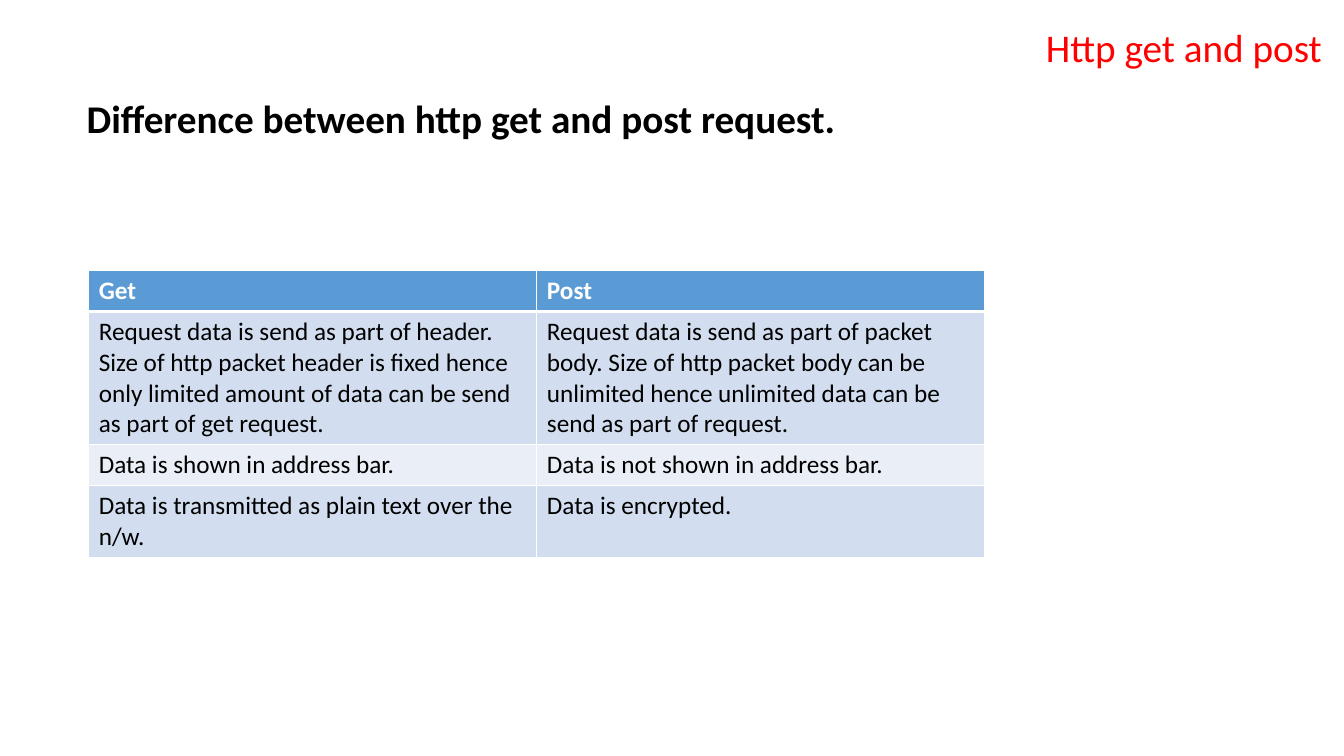
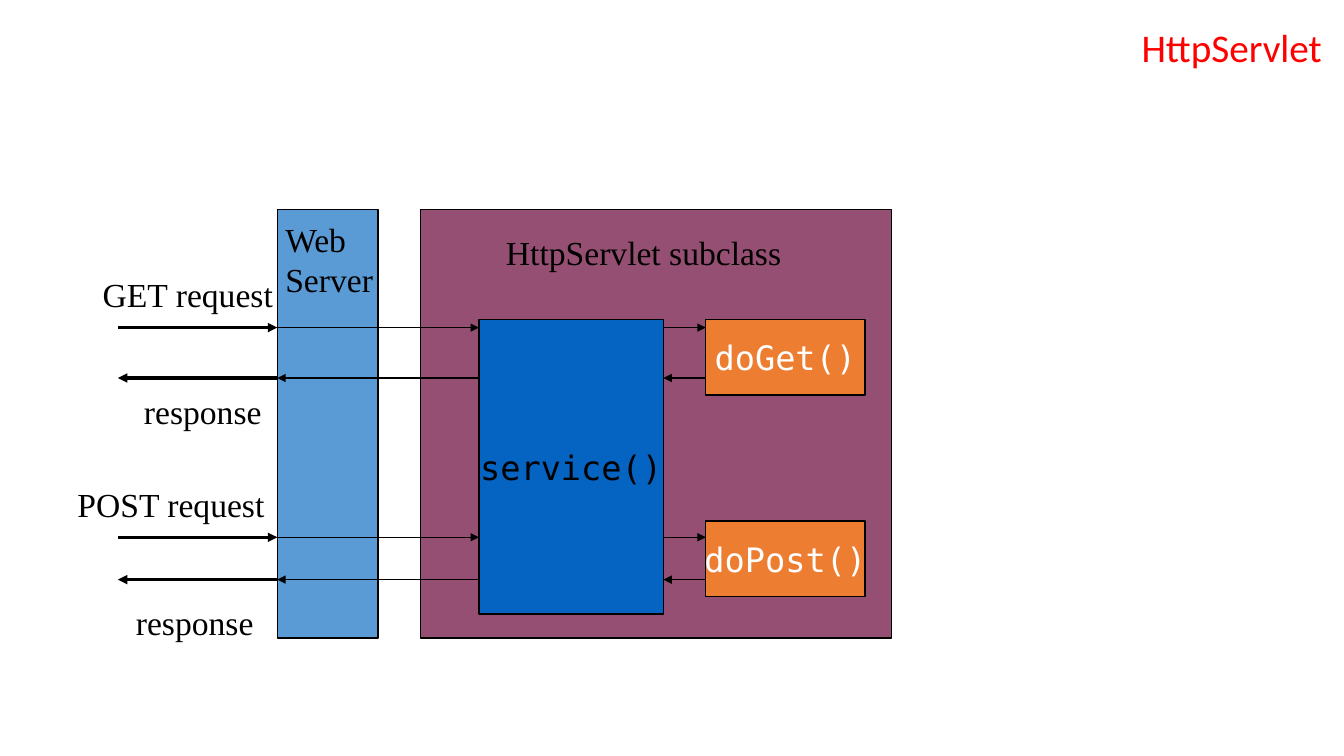
from dataclasses import dataclass

from lxml import etree
from pptx import Presentation
from pptx.dml.color import RGBColor
from pptx.enum.shapes import MSO_CONNECTOR, MSO_SHAPE
from pptx.enum.text import MSO_ANCHOR, MSO_AUTO_SIZE, PP_ALIGN
from pptx.oxml import parse_xml
from pptx.oxml.ns import nsdecls, qn
from pptx.util import Inches, Pt


@dataclass(frozen=True)
class Theme:
    black: str = "000000"
    white: str = "FFFFFF"
    title: str = "FF0000"
    blue: str = "5B9BD5"
    deep_blue: str = "0563C1"
    plum: str = "954F72"
    orange: str = "ED7D31"
    bands: tuple = ("D2DEEF", "EAEFF7")
    sans: str = "Calibri"
    serif: str = "Times New Roman"
    mono: str = "DejaVu Sans Mono"
    heading_size: int = 28
    label_size: int = 24
    cell_size: int = 18
    thin: float = 1
    thick: float = 2.25
    header_rule: float = 3


class Deck:
    """Builds styled slides, one element at a time."""

    def __init__(self, theme):
        self.theme = theme
        self.prs = Presentation()
        self.prs.slide_width, self.prs.slide_height = Inches(13.33), Inches(7.5)
        self.slide = None

    def set_text(self, frame, text, font, size, color, bold=False, align=PP_ALIGN.LEFT):
        frame.text = text
        paragraph = frame.paragraphs[0]
        paragraph.alignment = align
        style = paragraph.runs[0].font
        style.name, style.size, style.bold = font, Pt(size), bold
        style.color.rgb = RGBColor.from_string(color)
        return paragraph

    def place(self, shape, left, top, width, height):
        shape.left, shape.top = Inches(left), Inches(top)
        shape.width, shape.height = Inches(width), Inches(height)

    def heading(self, shape, text, color, anchor, **style):
        frame = shape.text_frame
        frame.word_wrap = True
        frame.auto_size = MSO_AUTO_SIZE.NONE
        frame.vertical_anchor = anchor
        paragraph = self.set_text(frame, text, self.theme.sans,
                                  self.theme.heading_size, color, **style)
        paragraph.line_spacing = 0.9
        paragraph.space_before = Pt(0)

    def add_slide(self, title, layout):
        self.slide = self.prs.slides.add_slide(self.prs.slide_layouts[layout])
        shape = self.slide.shapes.title
        self.place(shape, 9.54, 0.18, 3.67, 0.57)
        self.heading(shape, title, self.theme.title, MSO_ANCHOR.BOTTOM,
                     align=PP_ALIGN.RIGHT)

    def body(self, text):
        shape = self.slide.placeholders[1]
        self.place(shape, 0.76, 0.94, 11.96, 6.33)
        self.heading(shape, text, self.theme.black, MSO_ANCHOR.TOP, bold=True)

    def borders(self, cell, **widths):
        properties = cell._tc.get_or_add_tcPr()
        for index, side in enumerate("LRTB"):
            width = Pt(widths.get(side, self.theme.thin))
            properties.insert(index, parse_xml(
                f'<a:ln{side} {nsdecls("a")} w="{width}"><a:solidFill>'
                f'<a:srgbClr val="{self.theme.white}"/></a:solidFill></a:ln{side}>'))

    def table(self, left, top, width, heights, rows):
        theme = self.theme
        table = self.slide.shapes.add_table(
            len(rows), len(rows[0]), Inches(left), Inches(top),
            Inches(width), Inches(sum(heights))).table
        rules = {0: {"B": theme.header_rule}, 1: {"T": theme.header_rule}}
        for r, (height, texts) in enumerate(zip(heights, rows)):
            table.rows[r].height = Inches(height)
            header = r == 0
            fill = theme.blue if header else theme.bands[(r - 1) % 2]
            for c, text in enumerate(texts):
                cell = table.cell(r, c)
                cell.fill.solid()
                cell.fill.fore_color.rgb = RGBColor.from_string(fill)
                self.borders(cell, **rules.get(r, {}))
                self.set_text(cell.text_frame, text, theme.sans, theme.cell_size,
                              theme.white if header else theme.black, bold=header)

    def box(self, left, top, width, height, fill, text="", color=None):
        shape = self.slide.shapes.add_shape(
            MSO_SHAPE.RECTANGLE, Inches(left), Inches(top), Inches(width), Inches(height))
        shape.shadow.inherit = False
        shape.fill.solid()
        shape.fill.fore_color.rgb = RGBColor.from_string(fill)
        shape.line.color.rgb = RGBColor.from_string(self.theme.black)
        shape.line.width = Pt(self.theme.thin)
        if text:
            shape.text_frame.word_wrap = False
            shape.text_frame.vertical_anchor = MSO_ANCHOR.MIDDLE
            self.set_text(shape.text_frame, text, self.theme.mono,
                          self.theme.label_size, color, align=PP_ALIGN.CENTER)

    def label(self, text, left, top, width, height=0.5, wrap=False, inset=True):
        frame = self.slide.shapes.add_textbox(
            Inches(left), Inches(top), Inches(width), Inches(height)).text_frame
        frame.word_wrap = wrap
        if not inset:
            frame.margin_left = frame.margin_right = 0
            frame.margin_top = frame.margin_bottom = 0
        self.set_text(frame, text, self.theme.serif, self.theme.label_size,
                      self.theme.black)

    def arrow(self, start, end, y, weight):
        connector = self.slide.shapes.add_connector(
            MSO_CONNECTOR.STRAIGHT, Inches(start), Inches(y), Inches(end), Inches(y))
        connector.line.color.rgb = RGBColor.from_string(self.theme.black)
        connector.line.width = Pt(weight)
        properties = connector._element.spPr
        etree.SubElement(properties.find(qn("a:ln")), qn("a:tailEnd"), type="triangle")
        etree.SubElement(properties, qn("a:effectLst"))


theme = Theme()
deck = Deck(theme)

deck.add_slide("Http get and post", layout=0)
deck.body("Difference between http get and post request.")
deck.table(0.88, 2.68, 8.89, (0.41, 1.31, 0.41, 0.7), (
    ("Get", "Post"),
    ("Request data is send as part of header. Size of http packet header is fixed "
     "hence only limited amount of data can be send as part of get request.",
     "Request data is send as part of packet body. Size of http packet body can be "
     "unlimited hence unlimited data can be send as part of request."),
    ("Data is shown in address bar.", "Data is not shown in address bar."),
    ("Data is transmitted as plain text over the n/w.", "Data is encrypted."),
))

deck.add_slide("HttpServlet", layout=5)
client_x, server_x, service_x, service_right, handler_x = 1.17, 2.75, 4.75, 6.58, 7
deck.box(server_x, 2.08, 1, 4.25, theme.blue)
deck.box(4.17, 2.08, 4.67, 4.25, theme.plum)
deck.box(service_x, 3.17, service_right - service_x, 2.92, theme.deep_blue,
         "service()", theme.black)
for handler, top in (("doGet()", 3.17), ("doPost()", 5.17)):
    deck.box(handler_x, top, 1.58, 0.75, theme.orange, handler, theme.white)

deck.label("Web Server", 2.83, 2.17, 0.92, 0.8, wrap=True, inset=False)
deck.label("HttpServlet subclass", 4.92, 2.25, 3.33, wrap=True)
deck.label("GET request", 0.92, 2.67, 1.89)
deck.label("response", 1.33, 3.83, 1.37)
deck.label("POST request", 0.67, 4.75, 2.06)
deck.label("response", 1.25, 5.92, 1.37)

hops = ((client_x, server_x, theme.thick),
        (server_x, service_x, theme.thin),
        (service_right, handler_x, theme.thin))
for request_y, response_y in ((3.25, 3.75), (5.33, 5.75)):
    for near, far, weight in hops:
        deck.arrow(near, far, request_y, weight)
        deck.arrow(far, near, response_y, weight)

deck.prs.save("out.pptx")
